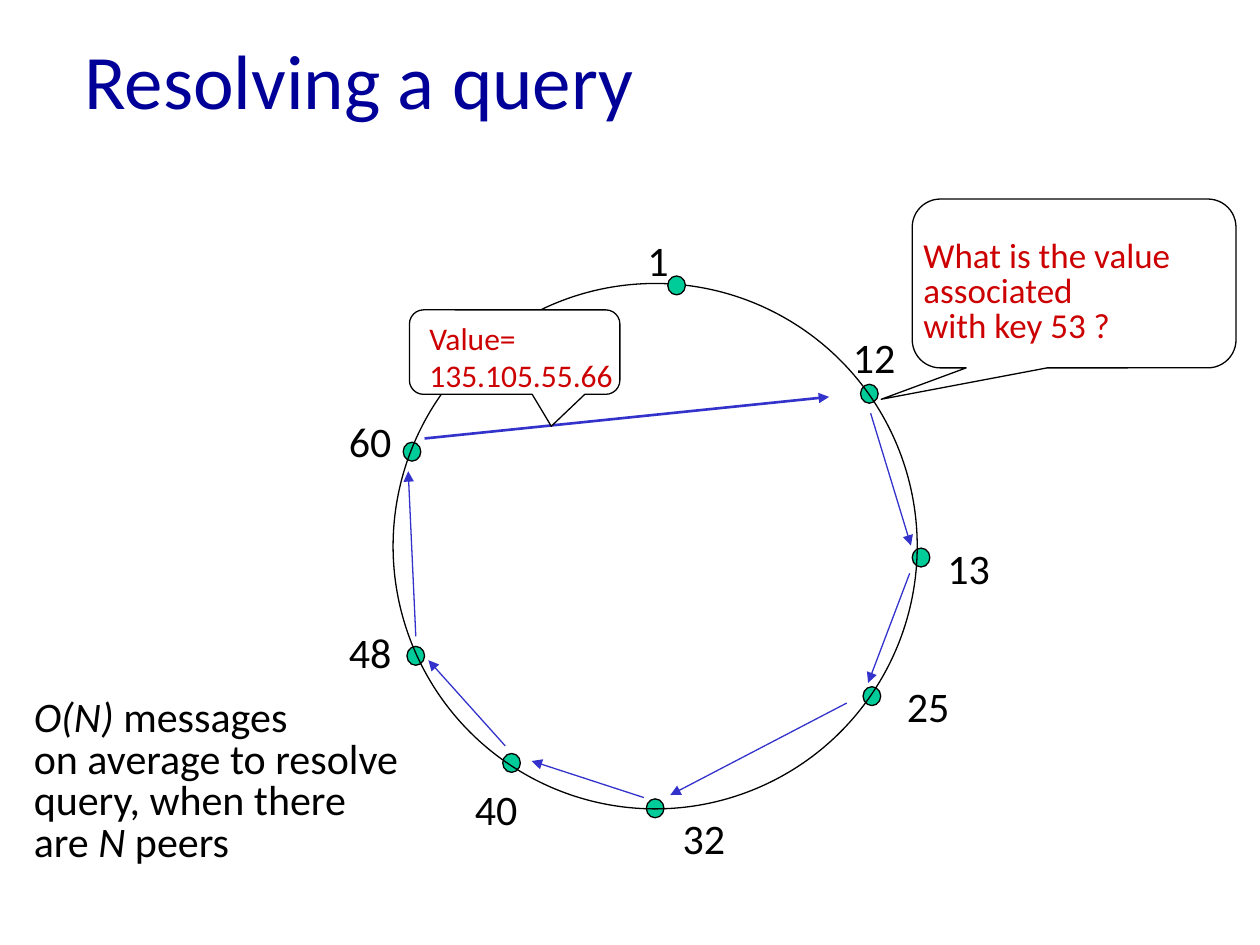
from dataclasses import dataclass

from lxml.etree import SubElement
from pptx import Presentation
from pptx.dml.color import RGBColor
from pptx.enum.shapes import MSO_CONNECTOR, MSO_SHAPE
from pptx.enum.text import MSO_ANCHOR, MSO_AUTO_SIZE, PP_ALIGN
from pptx.oxml.ns import qn
from pptx.util import Inches, Pt


@dataclass(frozen=True)
class Theme:
    font: str = "Calibri"
    title: RGBColor = RGBColor(0x00, 0x00, 0x99)
    ink: RGBColor = RGBColor(0x00, 0x00, 0x00)
    speech: RGBColor = RGBColor(0xCC, 0x00, 0x00)
    peer: RGBColor = RGBColor(0x00, 0xCC, 0x99)
    message: RGBColor = RGBColor(0x33, 0x33, 0xCC)
    paper: RGBColor = RGBColor(0xFF, 0xFF, 0xFF)
    title_size: int = 44
    body_size: int = 24
    question_size: int = 20
    answer_size: int = 18
    thin: float = 0.75
    thick: float = 1.5


THEME = Theme()

FIRST_PEER = ("1", (5.30, 2.19), (5.04, 1.81))
OTHER_PEERS = [
    ("12", (6.83, 3.05), (6.67, 2.58)),
    ("13", (7.24, 4.35), (7.42, 4.26)),
    ("25", (6.85, 5.45), (7.10, 5.35)),
    ("32", (5.13, 6.34), (5.32, 6.40)),
    ("40", (3.99, 5.98), (3.67, 6.17)),
    ("48", (3.23, 5.13), (2.67, 4.92)),
    ("60", (3.20, 3.51), (2.67, 3.25)),
]
FORWARDS = [
    ((6.91, 3.28), (7.23, 4.33)),
    ((7.22, 4.55), (6.89, 5.42)),
    ((6.72, 5.58), (5.32, 6.31)),
    ((5.11, 6.33), (4.22, 6.04)),
    ((4.01, 5.92), (3.40, 5.24)),
    ((3.30, 5.05), (3.24, 3.74)),
]
REPLY = ((3.37, 3.48), (6.58, 3.15))


def format_span(span, size, color):
    span.font.name = THEME.font
    span.font.size = Pt(size)
    span.font.color.rgb = color


def add_title(page, text):
    title = page.shapes.title
    title.left, title.top = Inches(0.57), Inches(0)
    title.width, title.height = Inches(8.5), Inches(1.25)
    frame = title.text_frame
    frame.text = text
    frame.vertical_anchor = MSO_ANCHOR.MIDDLE
    para = frame.paragraphs[0]
    para.alignment = PP_ALIGN.LEFT
    format_span(para.runs[0], THEME.title_size, THEME.title)


def add_outline(shapes, kind, left, top, width, height, fill=None):
    shape = shapes.add_shape(kind, Inches(left), Inches(top), Inches(width), Inches(height))
    shape.shadow.inherit = False
    if fill is None:
        shape.fill.background()
    else:
        shape.fill.solid()
        shape.fill.fore_color.rgb = fill
    shape.line.color.rgb = THEME.ink
    shape.line.width = Pt(THEME.thin)
    return shape


def add_callout(shapes, left, top, width, height, pointer, fill=None):
    callout = add_outline(shapes, MSO_SHAPE.ROUNDED_RECTANGULAR_CALLOUT,
                          left, top, width, height, fill)
    callout.adjustments[0], callout.adjustments[1] = pointer


def add_text(shapes, left, top, width, height, lines, size, color, spacing=None, wrap=False):
    box = shapes.add_textbox(Inches(left), Inches(top), Inches(width), Inches(height))
    frame = box.text_frame
    frame.text = "\n".join(lines)
    frame.word_wrap = wrap
    frame.auto_size = MSO_AUTO_SIZE.SHAPE_TO_FIT_TEXT
    for para in frame.paragraphs:
        if spacing:
            para.line_spacing = Pt(spacing)
        for span in para.runs:
            format_span(span, size, color)
    return box


def add_italic_start(para, italic, rest):
    span = para.runs[-1]
    span.text = italic
    span.font.italic = True
    tail = para.add_run()
    tail.text = rest
    format_span(tail, THEME.body_size, THEME.ink)


def add_arrow(shapes, start, end, width=THEME.thin):
    arrow = shapes.add_connector(MSO_CONNECTOR.STRAIGHT,
                                 *(Inches(value) for value in start + end))
    arrow.line.color.rgb = THEME.message
    arrow.line.width = Pt(width)
    SubElement(arrow.line._get_or_add_ln(), qn("a:tailEnd"), type="triangle")
    SubElement(arrow._element.spPr, qn("a:effectLst"))


def add_peer(page, spot):
    add_outline(page.shapes, MSO_SHAPE.OVAL, *spot, 0.14, 0.15, THEME.peer)


def add_label(page, name, spot):
    width = 0.37 if len(name) == 1 else 0.54
    add_text(page.shapes, *spot, width, 0.51, [name], THEME.body_size, THEME.ink)


def add_question(page):
    shapes = page.shapes.add_group_shape().shapes
    add_callout(shapes, 7.24, 1.58, 2.57, 1.34, (-0.596, 0.686))
    add_text(shapes, 7.23, 1.86, 2.19, 0.95,
             ["What is the value\vassociated", "with key 53 ?"],
             THEME.question_size, THEME.speech, spacing=20)


def add_reply(page):
    shapes = page.shapes.add_group_shape().shapes
    add_arrow(shapes, *REPLY, THEME.thick)
    add_callout(shapes, 3.25, 2.46, 1.67, 0.67, (0.174, 0.878), THEME.paper)
    add_text(shapes, 3.31, 2.48, 2.2, 0.71, ["Value= 135.105.55.66"],
             THEME.answer_size, THEME.speech, wrap=True)


def add_cost_note(page):
    box = add_text(page.shapes, 0.17, 5.5, 3.14, 1.45,
                   ["O(N) ", "on average to resolve", "query, when there", "are "],
                   THEME.body_size, THEME.ink, spacing=23.8)
    first, *_, last = box.text_frame.paragraphs
    add_italic_start(first, "O(N) ", "messages")
    format_span(last.add_run(), THEME.body_size, THEME.ink)
    add_italic_start(last, "N", " peers")


def main():
    deck = Presentation()
    deck.slide_width, deck.slide_height = Inches(10), Inches(7.5)
    page = deck.slides.add_slide(deck.slide_layouts[5])

    add_title(page, "Resolving a query")
    for _, spot, _ in OTHER_PEERS:
        add_peer(page, spot)
    add_outline(page.shapes, MSO_SHAPE.OVAL, 3.12, 2.25, 4.16, 4.17)
    add_peer(page, FIRST_PEER[1])
    for name, _, label_spot in [FIRST_PEER, *OTHER_PEERS]:
        add_label(page, name, label_spot)
    add_question(page)
    for start, end in FORWARDS:
        add_arrow(page.shapes, start, end)
    add_reply(page)
    add_cost_note(page)

    deck.save("out.pptx")


if __name__ == "__main__":
    main()
